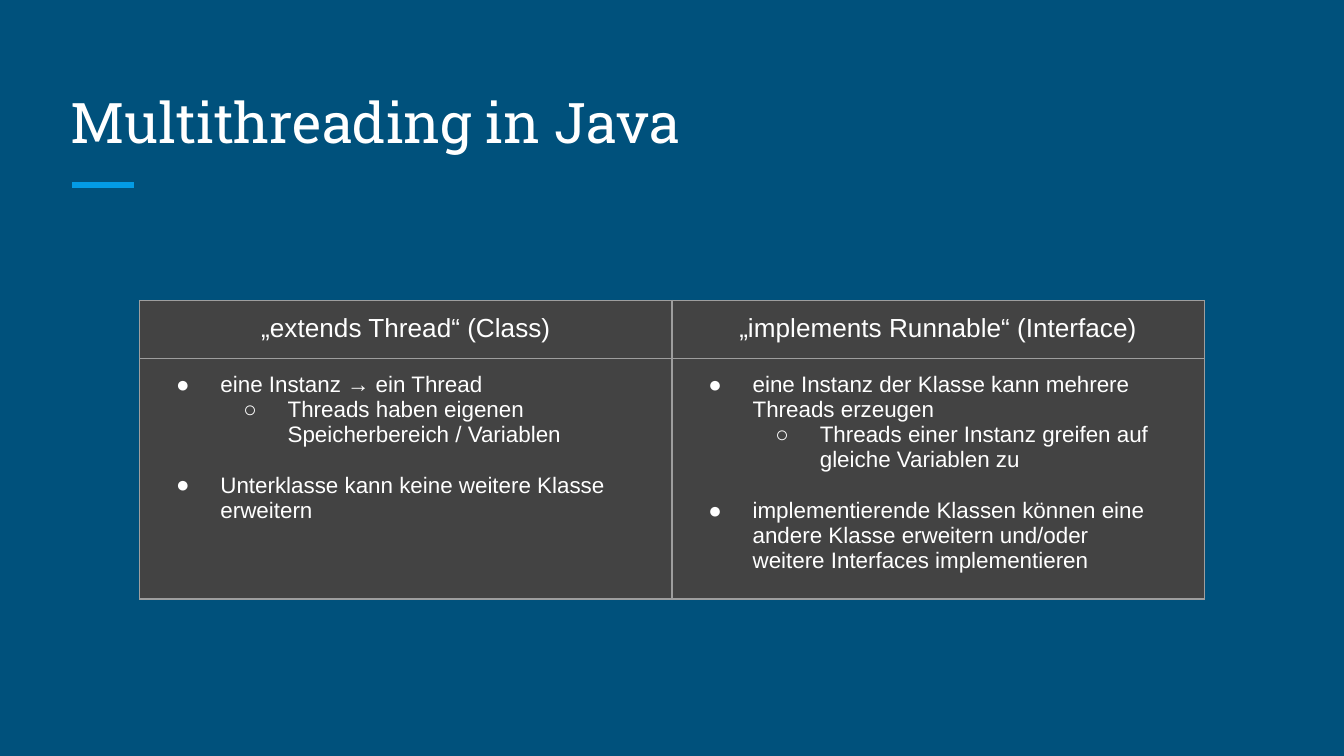
from collections import namedtuple

from lxml.etree import SubElement
from pptx import Presentation
from pptx.dml.color import RGBColor
from pptx.enum.shapes import MSO_CONNECTOR
from pptx.enum.text import MSO_ANCHOR, PP_ALIGN
from pptx.oxml.ns import qn
from pptx.util import Inches, Pt

Box = namedtuple("Box", "left top width height")

COLORS = {
    "background": "00517C",
    "accent": "039BE5",
    "text": "FFFFFF",
    "cell": "434343",
    "border": "9E9E9E",
}
WIDTH = Inches(10)
HEIGHT = WIDTH * 9 // 16
INSET = Inches(0.1)
INDENT, HANGING = Inches(0.5), Inches(0.33)
BULLETS = "●○"
GROUP_GAP = Pt(13.5)

# Each column: heading, then groups of (level, text) set apart by a gap.
COLUMNS = [
    ("„extends Thread“ (Class)", [
        [(0, "eine Instanz → ein Thread"),
         (1, "Threads haben eigenen Speicherbereich / Variablen")],
        [(0, "Unterklasse kann keine weitere Klasse erweitern")],
    ]),
    ("„implements Runnable“ (Interface)", [
        [(0, "eine Instanz der Klasse kann mehrere Threads erzeugen"),
         (1, "Threads einer Instanz greifen auf gleiche Variablen zu")],
        [(0, "implementierende Klassen können eine andere Klasse erweitern "
             "und/oder\nweitere Interfaces implementieren")],
    ]),
]


def rgb(name):
    return RGBColor.from_string(COLORS[name])


def percent_box(left, top, width, height):
    """Box from percentages of the slide's size."""
    return Box(int(WIDTH * left / 100), int(HEIGHT * top / 100),
               int(WIDTH * width / 100), int(HEIGHT * height / 100))


def set_text(para, text, size, font="Arial"):
    para.text = text
    for span in para.runs:
        span.font.name = font
        span.font.size = Pt(size)
        span.font.color.rgb = rgb("text")


def set_insets(holder):
    holder.margin_left = holder.margin_right = INSET
    holder.margin_top = holder.margin_bottom = INSET


def add_bullet(para, level, size):
    para.level = level
    props = para._p.get_or_add_pPr()
    props.set("marL", str(INDENT * (level + 1)))
    props.set("indent", str(-HANGING))
    color = SubElement(props, qn("a:buClr"))
    SubElement(color, qn("a:srgbClr"), val=COLORS["text"])
    SubElement(props, qn("a:buSzPts"), val=str(size * 100))
    SubElement(props, qn("a:buFont"), typeface="Arial")
    SubElement(props, qn("a:buChar"), char=BULLETS[level])


def style_cell(cell):
    set_insets(cell)
    props = cell._tc.get_or_add_tcPr()
    for side in ("lnL", "lnR", "lnT", "lnB"):
        line = SubElement(props, qn(f"a:{side}"), w=str(Pt(0.75)))
        fill = SubElement(line, qn("a:solidFill"))
        SubElement(fill, qn("a:srgbClr"), val=COLORS["border"])
    cell.fill.solid()
    cell.fill.fore_color.rgb = rgb("cell")


def fill_list(frame, groups, size=12):
    para = frame.paragraphs[0]
    for group_index, group in enumerate(groups):
        for item_index, (level, text) in enumerate(group):
            if group_index or item_index:
                para = frame.add_paragraph()
            if group_index and not item_index:
                para.space_before = GROUP_GAP
            set_text(para, text, size)
            add_bullet(para, level, size)


def add_title(page, box, text):
    """Title with a short accent rule under it."""
    title = page.shapes.add_textbox(*box)
    frame = title.text_frame
    frame.word_wrap = True
    frame.vertical_anchor = MSO_ANCHOR.BOTTOM
    set_insets(frame)
    set_text(frame.paragraphs[0], text, 30, "Roboto Slab")

    start = box.left + INSET + Pt(1)
    end = start + int(box.width * 0.05)
    level = box.top + box.height * 7 // 6
    rule = page.shapes.add_connector(MSO_CONNECTOR.STRAIGHT,
                                     start, level, end, level)
    rule.line.color.rgb = rgb("accent")
    rule.line.width = Pt(3)
    SubElement(rule._element.spPr, qn("a:effectLst"))


def add_comparison(page, box, columns):
    """Table of equal minimum rows; the lower one grows with its lists."""
    table = page.shapes.add_table(2, len(columns), *box).table
    table.first_row = table.horz_banding = False
    for index, (heading, groups) in enumerate(columns):
        table.columns[index].width = box.width // len(columns)
        head, body = table.cell(0, index), table.cell(1, index)
        style_cell(head)
        style_cell(body)
        para = head.text_frame.paragraphs[0]
        para.alignment = PP_ALIGN.CENTER
        set_text(para, heading, 14)
        fill_list(body.text_frame, groups)


def main():
    deck = Presentation()
    deck.slide_width, deck.slide_height = WIDTH, HEIGHT
    page = deck.slides.add_slide(deck.slide_layouts[6])
    page.background.fill.solid()
    page.background.fill.fore_color.rgb = rgb("background")
    add_title(page, percent_box(4.25, 8.9, 91.5, 13.35),
              "Multithreading in Java")
    add_comparison(page, percent_box(10.4, 39.75, 79.2, 14.8), COLUMNS)
    deck.save("out.pptx")


if __name__ == "__main__":
    main()
